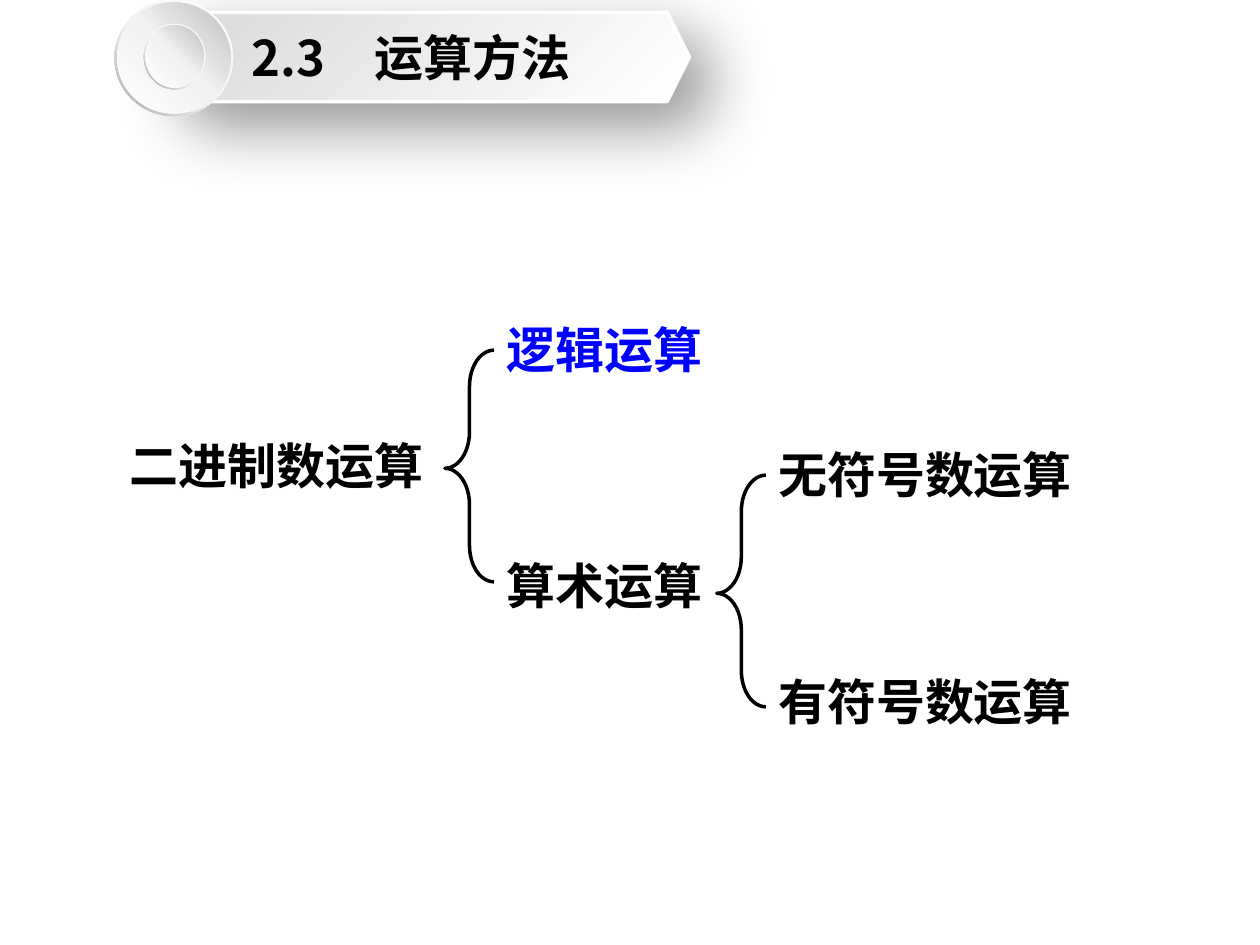
"""Build the slide on binary operation methods: a title badge and a brace tree."""
from lxml.etree import SubElement
from pptx import Presentation
from pptx.dml.color import RGBColor
from pptx.enum.shapes import MSO_SHAPE as Preset
from pptx.enum.text import MSO_ANCHOR as Anchor, MSO_AUTO_SIZE as AutoSize, PP_ALIGN as Align
from pptx.oxml.ns import qn
from pptx.util import Cm, Pt

WHITE = RGBColor(0xFF, 0xFF, 0xFF)
PALE = RGBColor(0xF2, 0xF2, 0xF2)
LIGHT = RGBColor(0xD9, 0xD9, 0xD9)
SILVER = RGBColor(0xBF, 0xBF, 0xBF)
GREY = RGBColor(0xA6, 0xA6, 0xA6)
BLACK = RGBColor(0, 0, 0)
BLUE = RGBColor(0, 0, 0xFF)
CJK_FONT, LABEL_FONT = "Noto Sans CJK SC", "Times New Roman"

TITLE = "2.3　运算方法"
BANNER_STOPS = [(0, WHITE), (100, LIGHT)]
RIM_STOPS = [(0, WHITE), (55, PALE), (100, GREY)]
DISC_STOPS = [(0, WHITE), (51, PALE), (100, SILVER)]
RINGS = [(2.31, 0, 2.39, 2.34, 0.05), (2.9, 0.48, 1.24, 1.32, 0.03)]

COLUMNS = [2.36, 9.96, 15.44]
LABELS = [
    ("二进制数运算", 0, 8.66, BLACK),
    ("逻辑运算", 1, 6.32, BLUE),
    ("算术运算", 1, 11.07, BLACK),
    ("无符号数运算", 2, 8.84, BLACK),
    ("有符号数运算", 2, 13.41, BLACK),
]
BRACES = [(1, 7.06), (2, 9.58)]
BRACE_WIDTH, BRACE_HEIGHT = 0.99, 4.67
CHAR_WIDTH, LABEL_PADDING, LABEL_HEIGHT = 1, 0.51, 1.45


def add_preset(group, preset, *box):
    shape = group.shapes.add_shape(preset, *map(Cm, box))
    shape.shadow.inherit = False
    return shape


def paint_gradient(fill, holder, stops, angle):
    fill.gradient()
    gradient = holder.find(qn("a:gradFill"))
    for default in list(gradient):
        gradient.remove(default)
    stop_list = SubElement(gradient, qn("a:gsLst"))
    for percent, colour in stops:
        stop = SubElement(stop_list, qn("a:gs"), pos=str(percent * 1000))
        SubElement(stop, qn("a:srgbClr"), val=str(colour))
    SubElement(gradient, qn("a:lin"), ang=str(angle * 60000), scaled="0")


def add_shadow(shape, blur, distance, degrees, opacity):
    effects = shape._element.spPr.find(qn("a:effectLst"))
    shadow = SubElement(effects, qn("a:outerShdw"), blurRad=str(int(Pt(blur))),
                        dist=str(int(Pt(distance))), dir=str(degrees * 60000))
    colour = SubElement(shadow, qn("a:srgbClr"), val=str(BLACK))
    SubElement(colour, qn("a:alpha"), val=str(opacity * 1000))


def write_text(frame, text, font_name, colour):
    frame.text = text
    run = frame.paragraphs[0].runs[0]
    font = run.font
    font.name, font.size, font.bold = font_name, Pt(28), True
    font.color.rgb = colour
    SubElement(run._r.get_or_add_rPr(), qn("a:ea"), typeface=CJK_FONT)


def add_badge(slide):
    badge = slide.shapes.add_group_shape()
    banner = add_preset(badge, Preset.HEXAGON, 3.1, 0.25, 10.8, 1.8)
    properties = banner._element.spPr
    paint_gradient(banner.fill, properties, BANNER_STOPS, 225)
    banner.line.width = Pt(2)
    paint_gradient(banner.line.fill, properties.find(qn("a:ln")), BANNER_STOPS, 225)
    add_shadow(banner, 38, 19, 45, 42)
    frame = banner.text_frame
    frame.word_wrap = True
    frame.vertical_anchor = Anchor.MIDDLE
    frame.margin_right = Cm(0.68)
    write_text(frame, TITLE, CJK_FONT, BLACK)
    frame.paragraphs[0].alignment = Align.CENTER

    for left, top, width, height, inset in RINGS:
        rim = add_preset(badge, Preset.DONUT, left, top, width, height)
        rim.adjustments[0] = 0.05
        disc = add_preset(badge, Preset.OVAL, left + inset, top + inset,
                          width - 2 * inset, height - 2 * inset)
        for part, stops, angle in ((rim, RIM_STOPS, 135), (disc, DISC_STOPS, 315)):
            paint_gradient(part.fill, part._element.spPr, stops, angle)
            part.line.fill.background()


def add_tree(slide):
    tree = slide.shapes.add_group_shape()
    for text, column, top, colour in LABELS:
        width = len(text) * CHAR_WIDTH + LABEL_PADDING
        label = tree.shapes.add_textbox(
            Cm(COLUMNS[column]), Cm(top), Cm(width), Cm(LABEL_HEIGHT))
        frame = label.text_frame
        frame.word_wrap = False
        frame.auto_size = AutoSize.SHAPE_TO_FIT_TEXT
        write_text(frame, text, LABEL_FONT, colour)
    for column, top in BRACES:
        brace = add_preset(tree, Preset.LEFT_BRACE, COLUMNS[column] - BRACE_WIDTH,
                           top, BRACE_WIDTH, BRACE_HEIGHT)
        brace.adjustments[0], brace.adjustments[1] = 0.74, 0.51
        brace.fill.background()
        brace.line.color.rgb = BLACK
        brace.line.width = Pt(2)


def main():
    deck = Presentation()
    deck.slide_width, deck.slide_height = Cm(25.4), Cm(19.05)
    slide = deck.slides.add_slide(deck.slide_layouts[6])
    add_badge(slide)
    add_tree(slide)
    deck.save("out.pptx")


if __name__ == "__main__":
    main()
